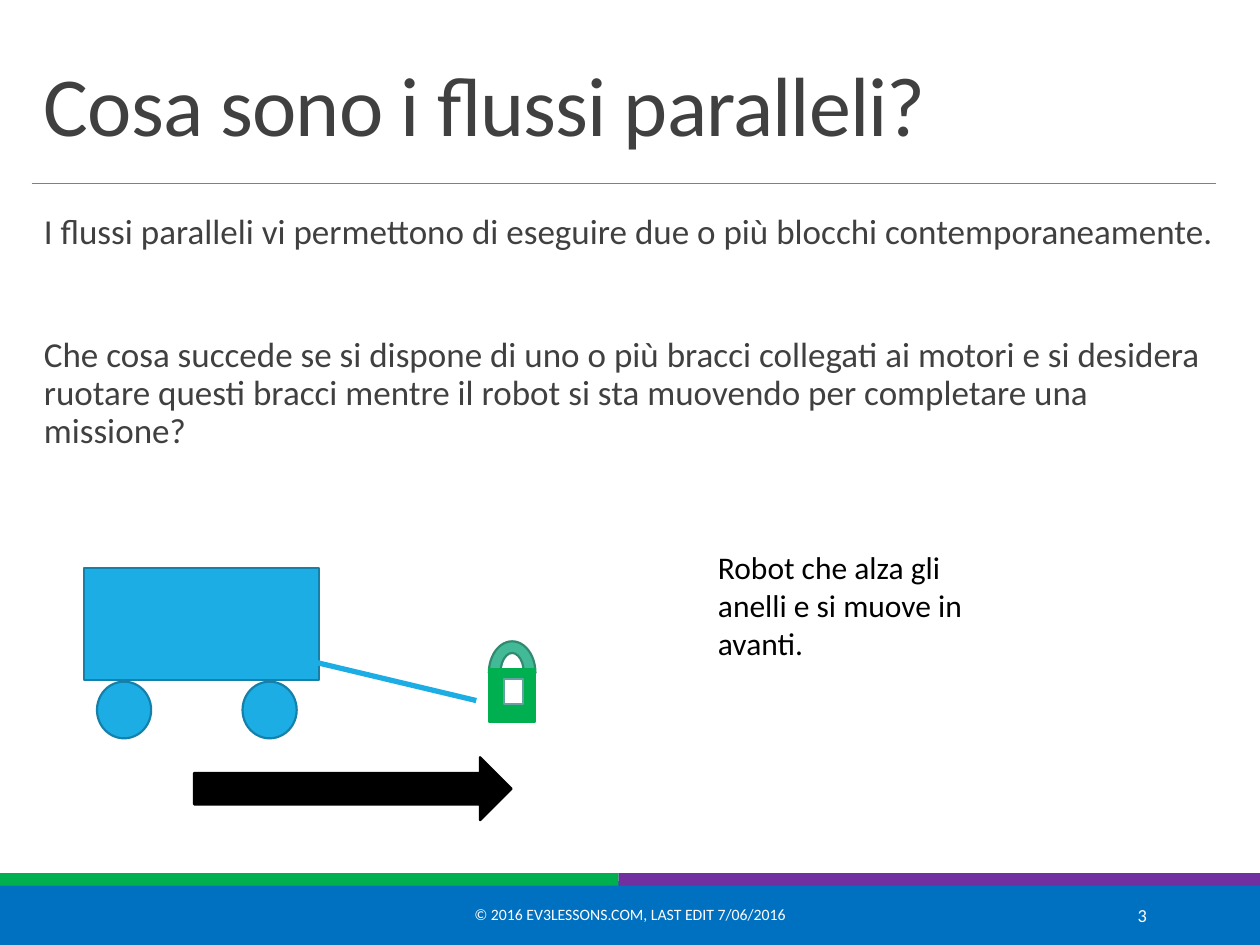
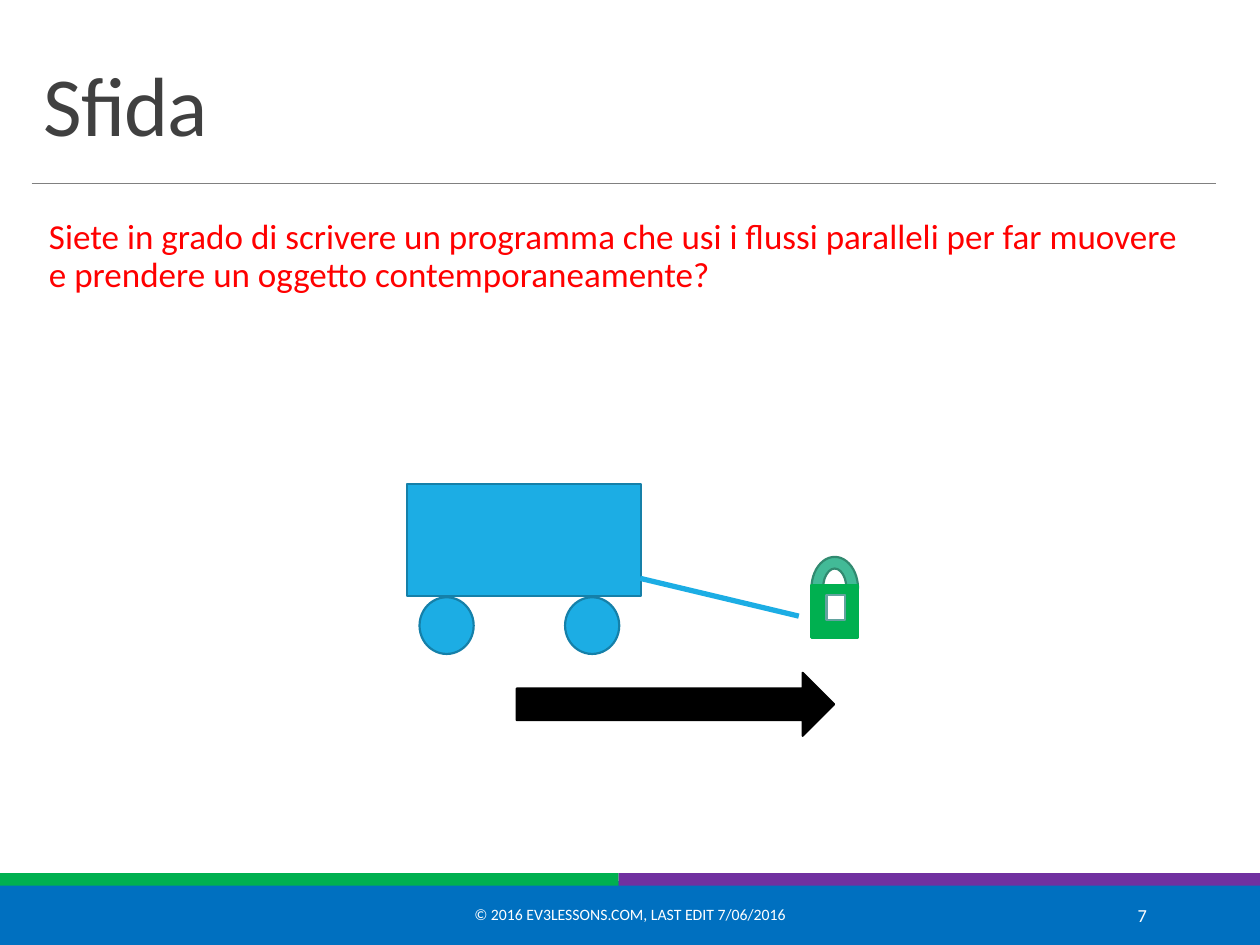
import pptx
import pptx.util
import pptx.dml.color
import pptx.enum.shapes
import pptx.enum.text
import pptx.oxml
import pptx.oxml.ns

COLORS = {
    "text": "404040", "black": "000000", "white": "FFFFFF", "red": "FF0000",
    "rule": "808080", "footer": "0070C0", "green": "00B050", "purple": "7030A0",
    "robot": "1CADE4", "robot_edge": "1580A9",
    "shackle": "42BA97", "shackle_edge": "318A70", "keyhole_edge": "62A39F",
}
RGB = {name: pptx.dml.color.RGBColor.from_string(c) for name, c in COLORS.items()}
FONT = "Calibri"
MSO = pptx.enum.shapes.MSO_SHAPE
ALIGN = pptx.enum.text.PP_ALIGN
ANCHOR = pptx.enum.text.MSO_ANCHOR
Pt = pptx.util.Pt

prs = pptx.Presentation()
prs.slide_width = pptx.util.Inches(10)
prs.slide_height = pptx.util.Inches(7.5)
COL = prs.slide_width / 100
ROW = prs.slide_height / 75


def add_text(s, text, at, size=20, color="text", align=ALIGN.LEFT, anchor=ANCHOR.TOP,
             leading=None, gap=0, right=1, spacing=None):
    x, y, w, h = at
    tf = s.shapes.add_textbox(int(x * COL), int(y * ROW), int(w * COL), int(h * ROW)).text_frame
    tf.word_wrap = True
    tf.vertical_anchor = anchor
    tf.margin_right = int(right * COL)
    for i, line in enumerate(text.split("\n")):
        p = tf.paragraphs[0] if i == 0 else tf.add_paragraph()
        p.alignment = align
        if leading:
            p.line_spacing = leading
        if i:
            p.space_before = Pt(gap)
        r = p.add_run()
        r.text = line
        r.font.name = FONT
        r.font.size = Pt(size)
        r.font.color.rgb = RGB[color]
        if spacing:
            r._r.get_or_add_rPr().set("spc", str(int(spacing * 100)))


def draw(shapes, kind, at, fill, edge=None, weight=1.25):
    x, y, w, h = at
    box = [int(x * COL), int(y * ROW), int(w * COL), int(h * ROW)]
    if kind == "line":
        sp = shapes.add_connector(pptx.enum.shapes.MSO_CONNECTOR.STRAIGHT,
                                  box[0], box[1], box[0] + box[2], box[1] + box[3])
        sp._element.spPr.append(pptx.oxml.parse_xml(
            "<a:effectLst %s/>" % pptx.oxml.ns.nsdecls("a")))
        edge = fill
    else:
        sp = shapes.add_shape(kind, *box)
        sp.shadow.inherit = False
        sp.fill.solid()
        sp.fill.fore_color.rgb = RGB[fill]
    if edge:
        sp.line.color.rgb = RGB[edge]
        sp.line.width = Pt(weight)
    else:
        sp.line.fill.background()


ROBOT = [
    (MSO.RECTANGLE, (0, 0, 18.6, 8.9), "robot", "robot_edge"),
    (MSO.OVAL, (1, 9, 4.3, 4.5), "robot", "robot_edge"),
    (MSO.OVAL, (12.55, 9, 4.3, 4.5), "robot", "robot_edge"),
]
PADLOCK = [
    (MSO.BLOCK_ARC, (32.1, 5.8, 3.7, 5), "shackle", "shackle_edge"),
    (MSO.RECTANGLE, (32.1, 8, 3.7, 4.2), "green", "green"),
    (MSO.RECTANGLE, (33.3, 8.8, 1.5, 2), "white", "keyhole_edge"),
]
SLIDES = [
    {
        "title": "Cosa sono i flussi paralleli?",
        "body": "I flussi paralleli vi permettono di eseguire due o più blocchi contemporaneamente.\n"
                "Che cosa succede se si dispone di uno o più bracci collegati ai motori e si desidera "
                "ruotare questi bracci mentre il robot si sta muovendo per completare una missione?",
        "body_at": (2.5, 16.5, 94, 50.9), "body_color": "text",
        "caption": "Robot che alza gli anelli e si muove in avanti.",
        "robot_at": (6.7, 45.1), "number": "3",
    },
    {
        "title": "Sfida",
        "body": "Siete in grado di scrivere un programma che usi i flussi paralleli per far muovere "
                "e prendere un oggetto contemporaneamente?",
        "body_at": (2.9, 16.9, 92.5, 43.7), "body_color": "red",
        "caption": None,
        "robot_at": (32.3, 38.4), "number": "7",
    },
]

for page in SLIDES:
    s = prs.slides.add_slide(prs.slide_layouts[6])
    draw(s.shapes, MSO.RECTANGLE, (0, 70, 100, 5), "footer", "footer")
    draw(s.shapes, MSO.RECTANGLE, (0, 69.3, 49.1, 1), "green")
    draw(s.shapes, MSO.RECTANGLE, (49.1, 69.3, 50.9, 1), "purple")
    draw(s.shapes, "line", (2.5, 14.6, 94, 0), "rule", weight=0.5)

    add_text(s, page["title"], (2.5, 3.1, 94, 9.6), size=48, anchor=ANCHOR.BOTTOM,
             leading=0.85, spacing=-0.5)
    add_text(s, page["body"], page["body_at"], color=page["body_color"],
             leading=0.9, gap=49, right=0)
    add_text(s, "© 2016 EV3LESSONS.COM, LAST EDIT 7/06/2016", (30.2, 70.6, 39.6, 4), size=9,
             color="white", align=ALIGN.CENTER, anchor=ANCHOR.MIDDLE)
    add_text(s, page["number"], (81.2, 70.6, 10.8, 4), size=10.5,
             color="white", align=ALIGN.RIGHT, anchor=ANCHOR.MIDDLE)
    if page["caption"]:
        add_text(s, page["caption"], (56, 43, 22.7, 10.1), size=18, color="black")

    left, top = page["robot_at"]
    for parts in (ROBOT, PADLOCK):
        group = s.shapes.add_group_shape()
        for kind, (x, y, w, h), fill, edge in parts:
            draw(group.shapes, kind, (left + x, top + y, w, h), fill, edge)
    draw(s.shapes, "line", (left + 18.5, top + 7.5, 12.6, 3), "robot", weight=3)
    draw(s.shapes, MSO.RIGHT_ARROW, (left + 8.7, top + 15, 25.2, 5), "black", "black")

prs.save("out.pptx")
